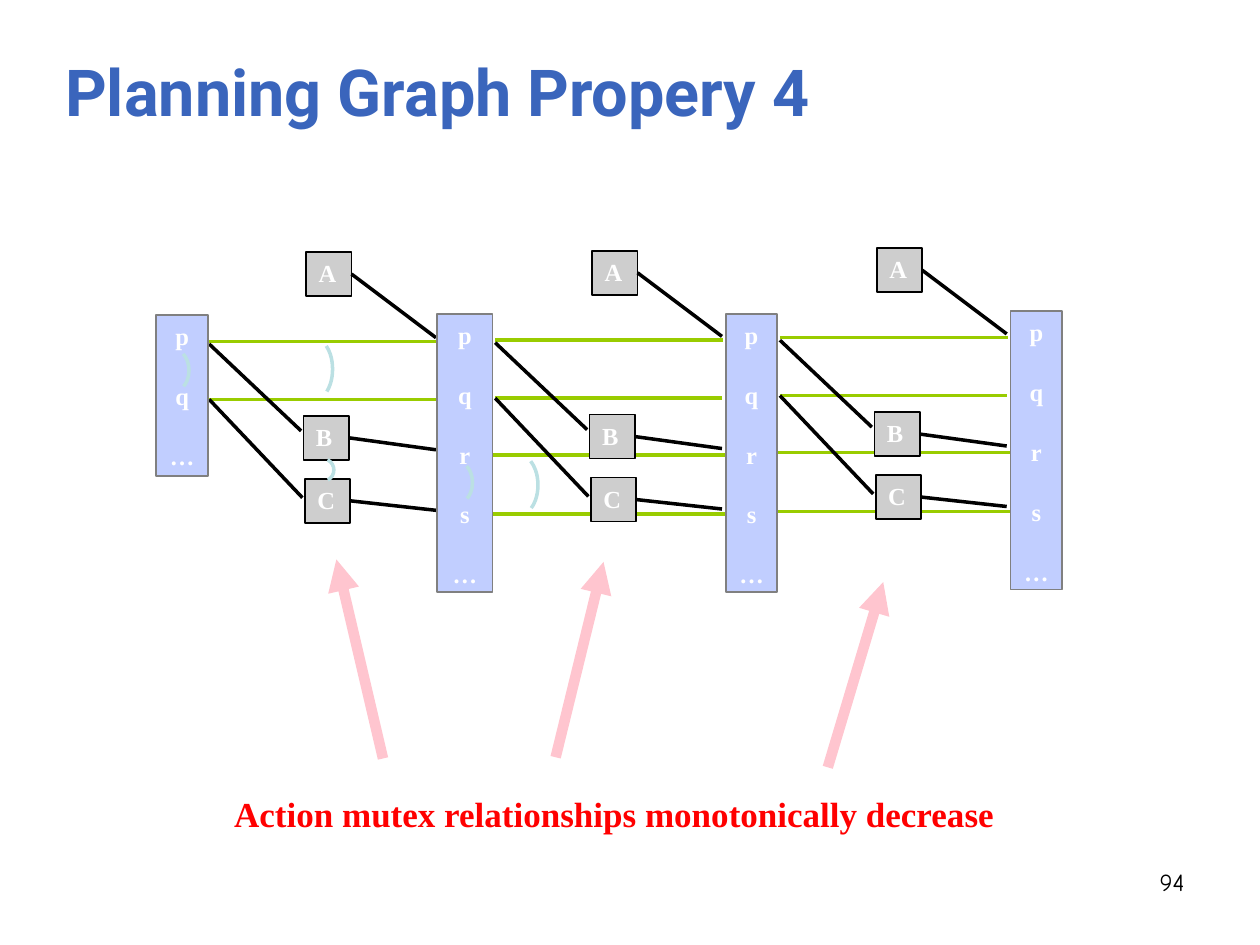
from dataclasses import dataclass

from lxml.etree import SubElement
from pptx import Presentation
from pptx.dml.color import RGBColor
from pptx.enum.shapes import MSO_CONNECTOR, MSO_SHAPE
from pptx.enum.text import MSO_ANCHOR as Anchor, PP_ALIGN as Align
from pptx.oxml.ns import qn
from pptx.shapes.autoshape import Shape
from pptx.shapes.connector import Connector
from pptx.slide import Slide
from pptx.text.text import TextFrame
from pptx.util import Inches, Length, Pt

TITLE_BLUE = RGBColor(0x3A, 0x65, 0xBC)
LEVEL_BLUE = RGBColor(0xC1, 0xCE, 0xFF)
LEVEL_EDGE = RGBColor(0x80, 0x80, 0x80)
ACTION_GRAY = RGBColor(0xCE, 0xCE, 0xCE)
PERSIST_GREEN = RGBColor(0x99, 0xCC, 0x00)
MUTEX_TEAL = RGBColor(0xBB, 0xE0, 0xE3)
POINTER_PINK = RGBColor(0xFF, 0xC5, 0xCF)
RED = RGBColor(0xFF, 0, 0)
BLACK = RGBColor(0, 0, 0)
WHITE = RGBColor(0xFF, 0xFF, 0xFF)

COLUMNS, ROWS = 100, 75
SLIDE_WIDTH, SLIDE_HEIGHT = Inches(10), Inches(7.5)
SERIF = "Times New Roman"
ACTION_WIDTH, ACTION_HEIGHT = 3.6, 3.5
RIGHT_SIDE = 3


@dataclass(frozen=True)
class Area:
    """A rectangle in grid columns and rows."""
    column: float
    row: float
    width: float
    height: float


@dataclass(frozen=True)
class Line:
    """A straight line between two grid points."""
    column: float
    row: float
    end_column: float
    end_row: float

    def moved(self, columns: float, rows: float) -> "Line":
        """Return the line shifted on the grid."""
        return Line(self.column + columns, self.row + rows,
                    self.end_column + columns, self.end_row + rows)


@dataclass(frozen=True)
class Style:
    """The look of one piece of text."""
    size: float
    color: RGBColor
    font: str = SERIF
    bold: bool = True
    align: Align = Align.LEFT
    gap: float = 0


@dataclass(frozen=True)
class Action:
    """An action box and its effect line's end, relative to a stage."""
    name: str
    column: float
    row: float
    effect_row: float


@dataclass(frozen=True)
class Stage:
    """One step of the graph, placed at its first proposition."""
    column: float
    row: float
    persisting: int


@dataclass(frozen=True)
class Mutex:
    """An arc given by its ellipse's centre and radii."""
    column: float
    row: float
    radius_across: float
    radius_down: float


LABEL = Style(14, WHITE)
LEVEL_LABEL = Style(14, WHITE, align=Align.CENTER, gap=17.4)
LEVELS = [
    (Area(12.4, 25, 4.1, 12.8), "pq…"),
    (Area(34.7, 24.9, 4.4, 22.1), "pqrs…"),
    (Area(57.6, 24.9, 4.1, 22.1), "pqrs…"),
    (Area(80.2, 24.7, 4.1, 22.1), "pqrs…"),
]
STAGES = [Stage(16.6, 27.1, 2), Stage(39.3, 27, 4), Stage(61.9, 26.8, 4)]
ACTIONS = [Action("A", 7.7, -7.1, -0.3), Action("B", 7.5, 5.9, 8.6),
           Action("C", 7.6, 10.9, 13.4)]
PERSISTENCE = [Line(0, 0, 18.1, 0), Line(0, 4.6, 18, 4.6),
               Line(-0.2, 9.1, 18.3, 9.1), Line(-0.3, 13.8, 18.3, 13.8)]
PRECONDITIONS = [Line(0, 0.2, 7.3, 7.1), Line(0, 4.6, 7.4, 12.4)]
MUTEXES = [Mutex(13.9, 29.4, 1.1, 1.6), Mutex(25, 29.3, 1.4, 2.4),
           Mutex(36.4, 38.3, 1.1, 1.6), Mutex(25.6, 37.3, 0.9, 0.9),
           Mutex(41.2, 38.5, 1.5, 2.4)]
POINTERS = [Line(30.4, 60.2, 26.7, 44.4), Line(44.1, 60.1, 47.9, 44.6),
            Line(65.7, 60.9, 70.1, 46.2)]


def across(columns: float) -> Length:
    """Convert grid columns to a length."""
    return Length(round(SLIDE_WIDTH * columns / COLUMNS))


def down(rows: float) -> Length:
    """Convert grid rows to a length."""
    return Length(round(SLIDE_HEIGHT * rows / ROWS))


def bounds(area: Area) -> tuple[Length, Length, Length, Length]:
    """Convert an area to left, top, width and height."""
    return across(area.column), down(area.row), across(area.width), down(area.height)


def write(frame: TextFrame, lines: list[str], style: Style) -> None:
    """Fill a text frame with evenly spaced paragraphs."""
    frame.vertical_anchor = Anchor.TOP
    for index, text in enumerate(lines):
        paragraph = frame.add_paragraph() if index else frame.paragraphs[0]
        paragraph.text = text
        paragraph.alignment = style.align
        paragraph.space_before = Pt(style.gap if index else 0)
        font = paragraph.font
        font.name, font.size, font.bold = style.font, Pt(style.size), style.bold
        font.color.rgb = style.color


def add_text(slide: Slide, area: Area, text: str, style: Style) -> TextFrame:
    """Add a text box and return its frame."""
    frame = slide.shapes.add_textbox(*bounds(area)).text_frame
    frame.word_wrap = True
    write(frame, [text], style)
    return frame


def add_box(slide: Slide, area: Area, lines: list[str], style: Style,
            fill: RGBColor, edge: RGBColor) -> Shape:
    """Add a labelled rectangle."""
    shape = slide.shapes.add_shape(MSO_SHAPE.RECTANGLE, *bounds(area))
    shape.shadow.inherit = False
    shape.fill.solid()
    shape.fill.fore_color.rgb = fill
    shape.line.color.rgb = edge
    shape.line.width = Pt(1)
    shape.text_frame.word_wrap = False
    write(shape.text_frame, lines, style)
    return shape


def add_line(slide: Slide, line: Line, color: RGBColor, width: float = 2) -> Connector:
    """Add a straight connector without a shadow."""
    connector = slide.shapes.add_connector(
        MSO_CONNECTOR.STRAIGHT, across(line.column), down(line.row),
        across(line.end_column), down(line.end_row))
    connector.line.color.rgb = color
    connector.line.width = Pt(width)
    SubElement(connector._element.spPr, qn("a:effectLst"))
    return connector


def add_pointer(slide: Slide, line: Line) -> None:
    """Add a thick arrow."""
    connector = add_line(slide, line, POINTER_PINK, 6)
    SubElement(connector.line._get_or_add_ln(), qn("a:tailEnd"), type="triangle")


def add_mutex(slide: Slide, mutex: Mutex) -> None:
    """Add an arc bulging to the right."""
    area = Area(mutex.column - mutex.radius_across, mutex.row - mutex.radius_down,
                2 * mutex.radius_across, 2 * mutex.radius_down)
    shape = slide.shapes.add_shape(MSO_SHAPE.ARC, *bounds(area))
    shape.shadow.inherit = False
    shape.fill.background()
    shape.line.color.rgb = MUTEX_TEAL
    shape.line.width = Pt(2)
    degree = 0.6
    shape.adjustments[0], shape.adjustments[1] = 296 * degree, 62 * degree


def add_stage(slide: Slide, stage: Stage) -> None:
    """Add the persistence lines, actions and links of one stage."""
    for line in PERSISTENCE[:stage.persisting]:
        add_line(slide, line.moved(stage.column, stage.row), PERSIST_GREEN)
    for action in ACTIONS:
        area = Area(stage.column + action.column, stage.row + action.row,
                    ACTION_WIDTH, ACTION_HEIGHT)
        box = add_box(slide, area, [action.name], LABEL, ACTION_GRAY, BLACK)
        effect = Line(action.column + ACTION_WIDTH, action.row + ACTION_HEIGHT / 2,
                      18, action.effect_row)
        connector = add_line(slide, effect.moved(stage.column, stage.row), BLACK)
        connector.begin_connect(box, RIGHT_SIDE)
    for line in PRECONDITIONS:
        add_line(slide, line.moved(stage.column, stage.row), BLACK)


def main() -> None:
    """Build the slide and save it."""
    presentation = Presentation()
    presentation.slide_width, presentation.slide_height = SLIDE_WIDTH, SLIDE_HEIGHT
    slide = presentation.slides.add_slide(presentation.slide_layouts[6])
    title = add_text(slide, Area(4.2, 3.3, 90, 7.5), "Planning Graph Propery 4",
                     Style(37, TITLE_BLUE, "Roboto"))
    title.vertical_anchor = Anchor.BOTTOM
    add_text(slide, Area(71.7, 68.3, 23.3, 5.2), "94",
             Style(14, BLACK, "Comic Neue", False, Align.RIGHT))
    caption = add_text(slide, Area(17.6, 62.4, 62.7, 4.3),
                       "Action mutex relationships monotonically decrease", Style(20, RED))
    caption.word_wrap = False
    for stage in STAGES:
        add_stage(slide, stage)
    for area, propositions in LEVELS:
        add_box(slide, area, list(propositions), LEVEL_LABEL, LEVEL_BLUE, LEVEL_EDGE)
    for mutex in MUTEXES:
        add_mutex(slide, mutex)
    for pointer in POINTERS:
        add_pointer(slide, pointer)
    presentation.save("out.pptx")


if __name__ == "__main__":
    main()
